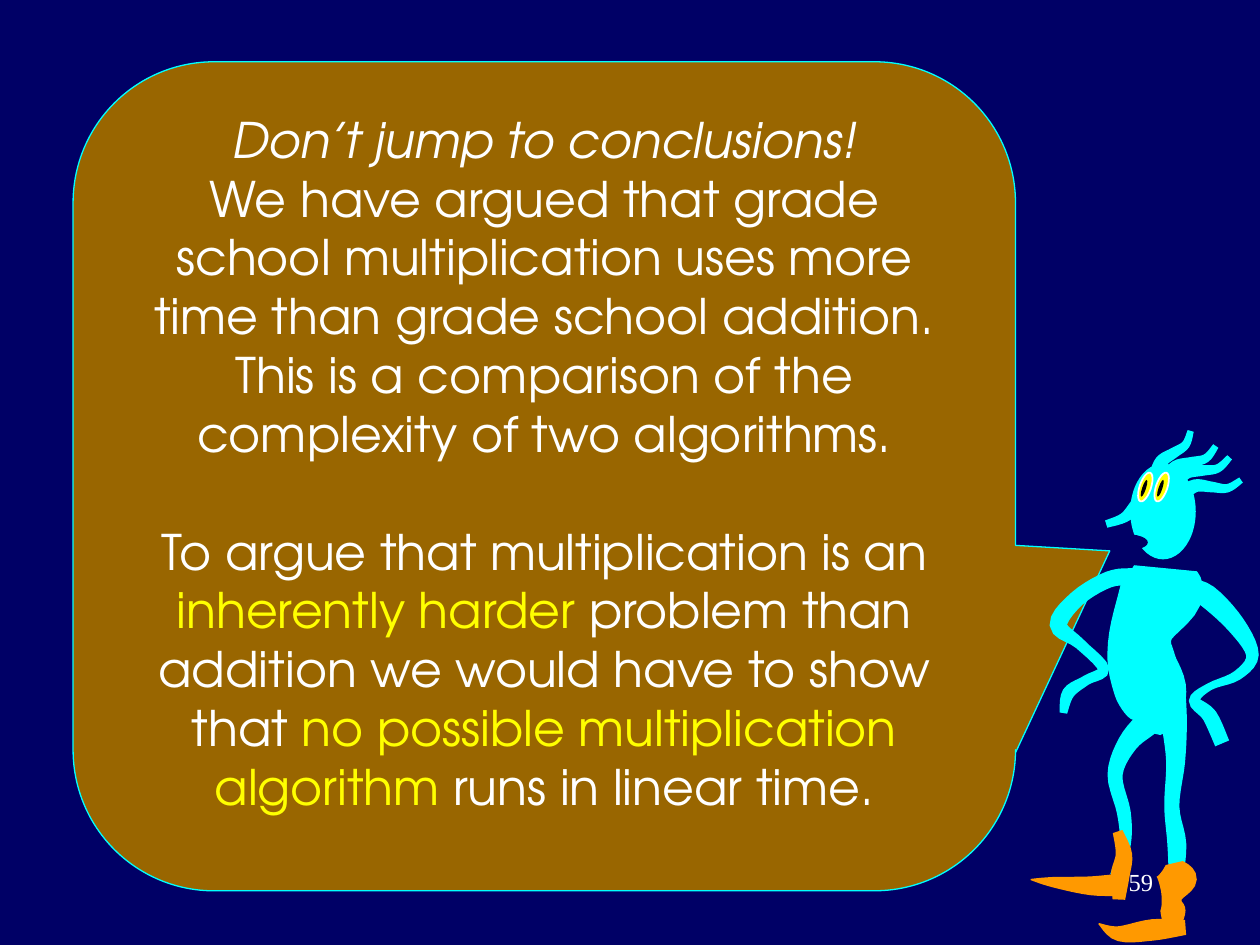
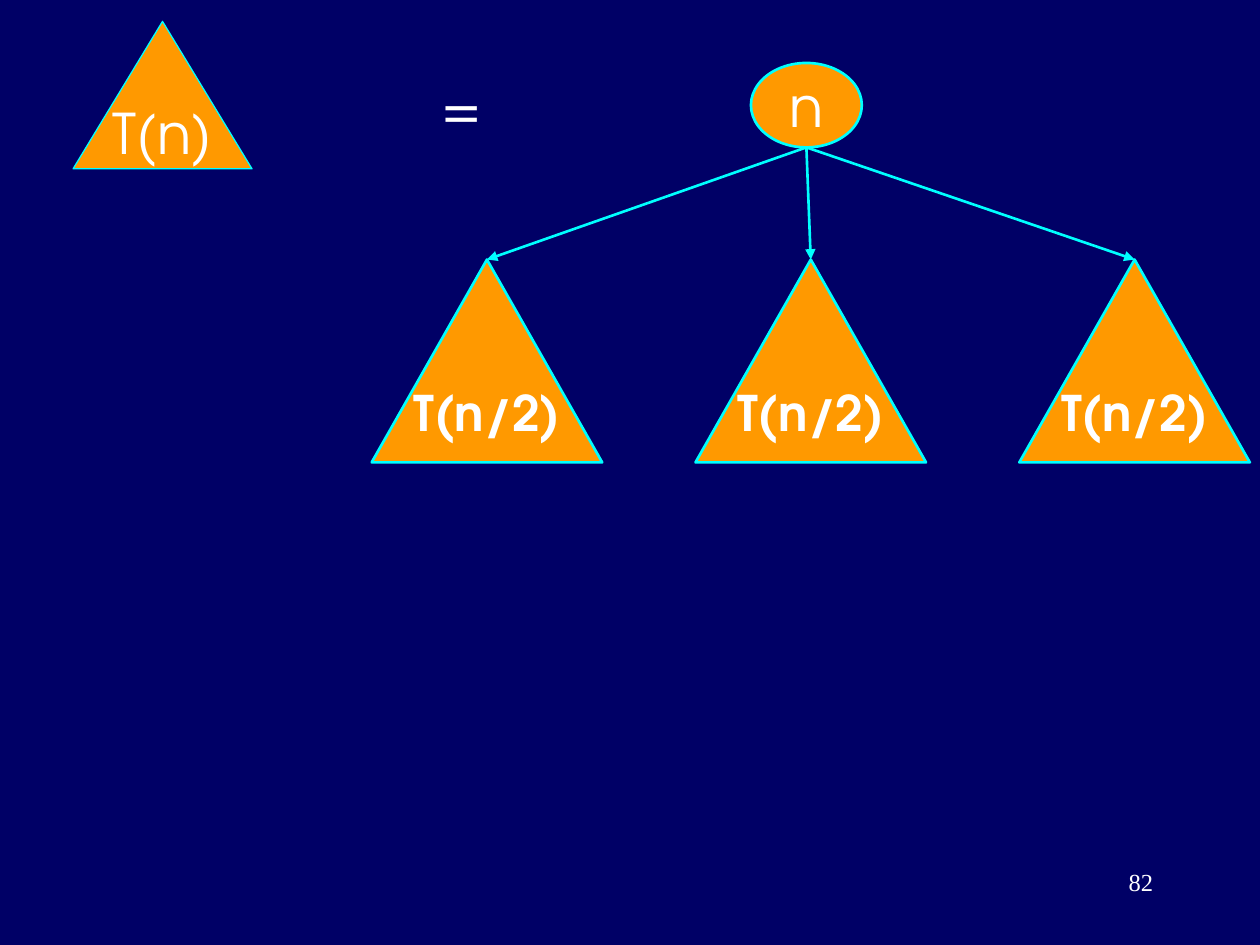
"""Build two slides on the complexity of multiplication: a warning and a recursion tree."""
import math

from lxml import etree
from pptx import Presentation
from pptx.dml.color import RGBColor
from pptx.enum.shapes import MSO_CONNECTOR, MSO_SHAPE
from pptx.enum.text import MSO_ANCHOR, PP_ALIGN
from pptx.oxml.ns import qn
from pptx.util import Inches, Pt

NAVY = RGBColor(0x00, 0x00, 0x66)
BROWN = RGBColor(0x99, 0x66, 0x00)
ORANGE = RGBColor(0xFF, 0x99, 0x00)
CYAN = RGBColor(0x00, 0xFF, 0xFF)
YELLOW = RGBColor(0xFF, 0xFF, 0x00)
WHITE = RGBColor(0xFF, 0xFF, 0xFF)
BLACK = RGBColor(0x00, 0x00, 0x00)

TEXT_FONT = "TeX Gyre Adventor"
NUMBER_FONT = "Times New Roman"
SPEECH_SIZE = 28
SPEECH_LINE = 1.2 * SPEECH_SIZE
FORMULA_SIZE = 32

CALLOUT = MSO_SHAPE.ROUNDED_RECTANGULAR_CALLOUT
OVAL = MSO_SHAPE.OVAL
TRIANGLE = MSO_SHAPE.ISOSCELES_TRIANGLE
STRAIGHT = MSO_CONNECTOR.STRAIGHT
TOP, MIDDLE = MSO_ANCHOR.TOP, MSO_ANCHOR.MIDDLE
CENTER, RIGHT = PP_ALIGN.CENTER, PP_ALIGN.RIGHT

STEPS_PER_JOINT = 5
TORSO = [(9.25, 4.51, 0.5), (9.22, 4.68, 0.66), (9.06, 5, 0.5),
         (9.06, 5.25, 0.54), (9.14, 5.5, 0.56), (9.17, 5.7, 0.4), (9.15, 5.82, 0.12)]
NOSE = [(9.02, 4.02, 0.12), (8.92, 4.11, 0.08), (8.78, 4.16, 0.06)]
LEFT_ARM = [(9.22, 4.59, 0.13), (9, 4.58, 0.14), (8.8, 4.6, 0.13), (8.55, 4.75, 0.13),
            (8.4, 4.96, 0.14), (8.57, 5.11, 0.09), (8.76, 5.31, 0.09),
            (8.62, 5.4, 0.08), (8.48, 5.5, 0.1), (8.44, 5.66, 0.06)]
RIGHT_ARM = [(9.4, 4.65, 0.14), (9.58, 4.73, 0.18), (9.81, 4.96, 0.15),
             (9.94, 5.2, 0.1), (9.82, 5.36, 0.08), (9.6, 5.45, 0.06),
             (9.48, 5.56, 0.09), (9.6, 5.68, 0.12), (9.7, 5.9, 0.12)]
LEFT_LEG = [(9.3, 5.6, 0.14), (9.12, 5.73, 0.2), (8.95, 5.9, 0.16), (8.85, 6.15, 0.12),
            (8.92, 6.45, 0.11), (8.93, 6.7, 0.09), (8.85, 6.95, 0.08)]
RIGHT_LEG = [(9.3, 5.5, 0.22), (9.32, 5.75, 0.2), (9.33, 6.05, 0.15),
             (9.3, 6.4, 0.12), (9.34, 6.7, 0.15), (9.33, 7, 0.11), (9.31, 7.3, 0.08)]
LEFT_BOOT = [(8.87, 6.6, 0.08), (8.92, 6.78, 0.13), (8.89, 6.95, 0.15), (8.88, 7.14, 0.1)]
LEFT_TOE = [(8.92, 7.02, 0.18), (8.66, 7.03, 0.15), (8.35, 7, 0.08), (8.18, 6.98, 0.01)]
RIGHT_BOOT = [(9.32, 6.85, 0.14), (9.34, 6.97, 0.32), (9.3, 7.13, 0.16),
              (9.31, 7.23, 0.2), (9.3, 7.35, 0.14)]
RIGHT_TOE = [(9.41, 7.36, 0.12), (9.15, 7.38, 0.17), (8.88, 7.41, 0.12), (8.72, 7.33, 0.01)]
BODY_PARTS = [TORSO, NOSE, LEFT_ARM, RIGHT_ARM, LEFT_LEG, RIGHT_LEG]
SHOE_PARTS = [LEFT_BOOT, LEFT_TOE, RIGHT_BOOT, RIGHT_TOE]
HAIR_ROOTS_AND_TIPS = [((9.38, 3.92), (9.85, 3.81)), ((9.32, 3.84), (9.76, 3.63)),
                       ((9.26, 3.8), (9.65, 3.54)), ((9.18, 3.77), (9.45, 3.42))]


def paint(shape, fill, line=None, width=0.75):
    """Give a shape a flat fill and an optional outline."""
    shape.shadow.inherit = False
    shape.fill.solid()
    shape.fill.fore_color.rgb = fill
    if line is None:
        shape.line.fill.background()
    else:
        shape.line.color.rgb = line
        shape.line.width = Pt(width)


def add_preset(shapes, preset, box, fill, line=None, width=0.75):
    """Add a painted preset shape in the given box of inches."""
    shape = shapes.add_shape(preset, *map(Inches, box))
    paint(shape, fill, line, width)
    return shape


def blend(before, start, end, after, t):
    """Return the Catmull-Rom value between start and end at t."""
    return start + 0.5 * t * (end - before + t * (
        2 * before - 5 * start + 4 * end - after
        + t * (3 * (start - end) + after - before)))


def smooth(joints):
    """Return a smooth run of (x, y, width) through the joints."""
    padded = [joints[0], *joints, joints[-1]]
    curve = [tuple(blend(*values, step / STEPS_PER_JOINT) for values in zip(*window))
             for window in zip(padded, padded[1:], padded[2:], padded[3:])
             for step in range(STEPS_PER_JOINT)]
    return [*curve, joints[-1]]


def add_limb(shapes, joints, color):
    """Add a smooth limb whose joints give its centre line and thickness."""
    curve = smooth(joints)
    left_side, right_side = [], []
    for index, (x, y, width) in enumerate(curve):
        x0, y0, _ = curve[max(index - 1, 0)]
        x1, y1, _ = curve[min(index + 1, len(curve) - 1)]
        half = width / 2 / math.hypot(x1 - x0, y1 - y0)
        across, down = half * (y1 - y0), half * (x0 - x1)
        left_side.append((Inches(x + across), Inches(y + down)))
        right_side.append((Inches(x - across), Inches(y - down)))
    outline = left_side + right_side[::-1]
    builder = shapes.build_freeform(*outline[0])
    builder.add_line_segments(outline[1:], close=True)
    paint(builder.convert_to_shape(), color)


def add_hair(shapes, root, tip):
    """Add a strand that waves once around the line from root to tip."""
    run, rise = tip[0] - root[0], tip[1] - root[1]
    strand = []
    for quarter in range(5):
        part = quarter / 4
        sway = 0.08 * math.sin(2 * math.pi * part)
        strand.append((root[0] + part * run + sway * rise,
                       root[1] + part * rise - sway * run, 0.12 - 0.07 * part))
    add_limb(shapes, strand, CYAN)


def add_run(paragraph, text, size, color=WHITE, font=TEXT_FONT, bold=False, italic=False):
    """Append one formatted run to a paragraph."""
    run = paragraph.add_run()
    run.text = text
    run.font.name = font
    run.font.size = Pt(size)
    run.font.color.rgb = color
    run.font.bold = bold
    run.font.italic = italic


def add_label(slide, text, box, size, align=CENTER, font=TEXT_FONT):
    """Add a text box with a single run."""
    frame = slide.shapes.add_textbox(*map(Inches, box)).text_frame
    frame.word_wrap = True
    frame.paragraphs[0].alignment = align
    add_run(frame.paragraphs[0], text, size, font=font)


def add_node(slide, preset, text, box, size, width=1.5, bold=False):
    """Add an orange tree node with a centred label."""
    node = add_preset(slide.shapes, preset, box, ORANGE, CYAN, width)
    frame = node.text_frame
    frame.word_wrap = False
    frame.vertical_anchor = MIDDLE
    frame.paragraphs[0].alignment = CENTER
    add_run(frame.paragraphs[0], text, size, bold=bold)
    return node


def add_branch(slide, parent, child):
    """Draw an arrow from the bottom of a parent to the top of a child."""
    x, y = parent.left + parent.width // 2, parent.top + parent.height
    branch = slide.shapes.add_connector(STRAIGHT, x, y, x, y)
    branch.end_connect(child, 0)
    branch.line.color.rgb = CYAN
    branch.line.width = Pt(1.5)
    etree.SubElement(branch.line._get_or_add_ln(), qn("a:tailEnd"), type="triangle")
    etree.SubElement(branch._element.spPr, qn("a:effectLst"))


def add_slide(prs, number, draw):
    """Add a slide, draw its content and put its number on top."""
    slide = prs.slides.add_slide(prs.slide_layouts[6])
    draw(slide)
    add_label(slide, number, (7.17, 6.83, 2.08, 0.5), 14, RIGHT, NUMBER_FONT)


def draw_speech(slide):
    """Draw the speech bubble with its two paragraphs."""
    bubble = add_preset(slide.shapes, CALLOUT, (0.58, 0.49, 7.48, 6.58), BROWN, CYAN)
    tip_across, tip_down, corner = 0.6, 0.09, 0.17
    for index, value in enumerate((tip_across, tip_down, corner)):
        bubble.adjustments[index] = value
    frame = bubble.text_frame
    frame.word_wrap = True
    frame.vertical_anchor = TOP
    warning, challenge = frame.paragraphs[0], frame.add_paragraph()
    warning.alignment = challenge.alignment = CENTER
    add_run(warning, "Don’t jump to conclusions!", SPEECH_SIZE, italic=True)
    warning.add_line_break()
    add_run(warning, "We have argued that grade school multiplication uses more time "
                     "than grade school addition. This is a comparison of the "
                     "complexity of two algorithms.", SPEECH_SIZE)
    challenge.space_before = Pt(SPEECH_LINE)
    for text, color in (
            ("To argue that multiplication is an ", WHITE),
            ("inherently harder", YELLOW),
            (" problem than addition we would have to show that ", WHITE),
            ("no possible multiplication algorithm", YELLOW),
            (" runs in linear time.", WHITE)):
        add_run(challenge, text, SPEECH_SIZE, color)


def draw_speaker(slide):
    """Draw the cartoon figure beside the bubble."""
    figure = slide.shapes.add_group_shape().shapes
    for part in BODY_PARTS:
        add_limb(figure, part, CYAN)
    add_preset(figure, OVAL, (8.97, 3.68, 0.52, 0.76), CYAN)
    for root, tip in HAIR_ROOTS_AND_TIPS:
        add_hair(figure, root, tip)
    for left in (8.97, 9.1):
        eye = add_preset(figure, OVAL, (left, 3.82, 0.24, 0.09), YELLOW, WHITE, 1)
        pupil = add_preset(figure, OVAL, (left + 0.04, 3.86, 0.14, 0.03), BLACK)
        eye.rotation = pupil.rotation = 288.6
    add_preset(figure, OVAL, (8.77, 4.24, 0.34, 0.13), NAVY)
    for part in SHOE_PARTS:
        add_limb(figure, part, ORANGE)


def draw_warning(slide):
    """Draw the warning against hasty conclusions."""
    draw_speech(slide)
    draw_speaker(slide)


def draw_recursion(slide):
    """Draw T(n) as a root with three half-size subtrees."""
    first_left, spacing = 2.95, 2.57
    root = add_node(slide, OVAL, "n", (5.96, 0.5, 0.88, 0.67), FORMULA_SIZE)
    for index in range(3):
        box = (first_left + spacing * index, 2.06, 1.83, 1.61)
        subtree = add_node(slide, TRIANGLE, "T(n/2)", box, 28, bold=True)
        add_branch(slide, root, subtree)
    add_node(slide, TRIANGLE, "T(n)", (0.58, 0.17, 1.42, 1.17), FORMULA_SIZE, width=0.75)
    add_label(slide, "=", (3.08, 0.53, 1.17, 0.64), FORMULA_SIZE)


def main():
    """Build and save the presentation."""
    prs = Presentation()
    prs.slide_width, prs.slide_height = Inches(10), Inches(7.5)
    backdrop = prs.slide_master.background.fill
    backdrop.solid()
    backdrop.fore_color.rgb = NAVY
    add_slide(prs, "59", draw_warning)
    add_slide(prs, "82", draw_recursion)
    prs.save("out.pptx")


if __name__ == "__main__":
    main()
